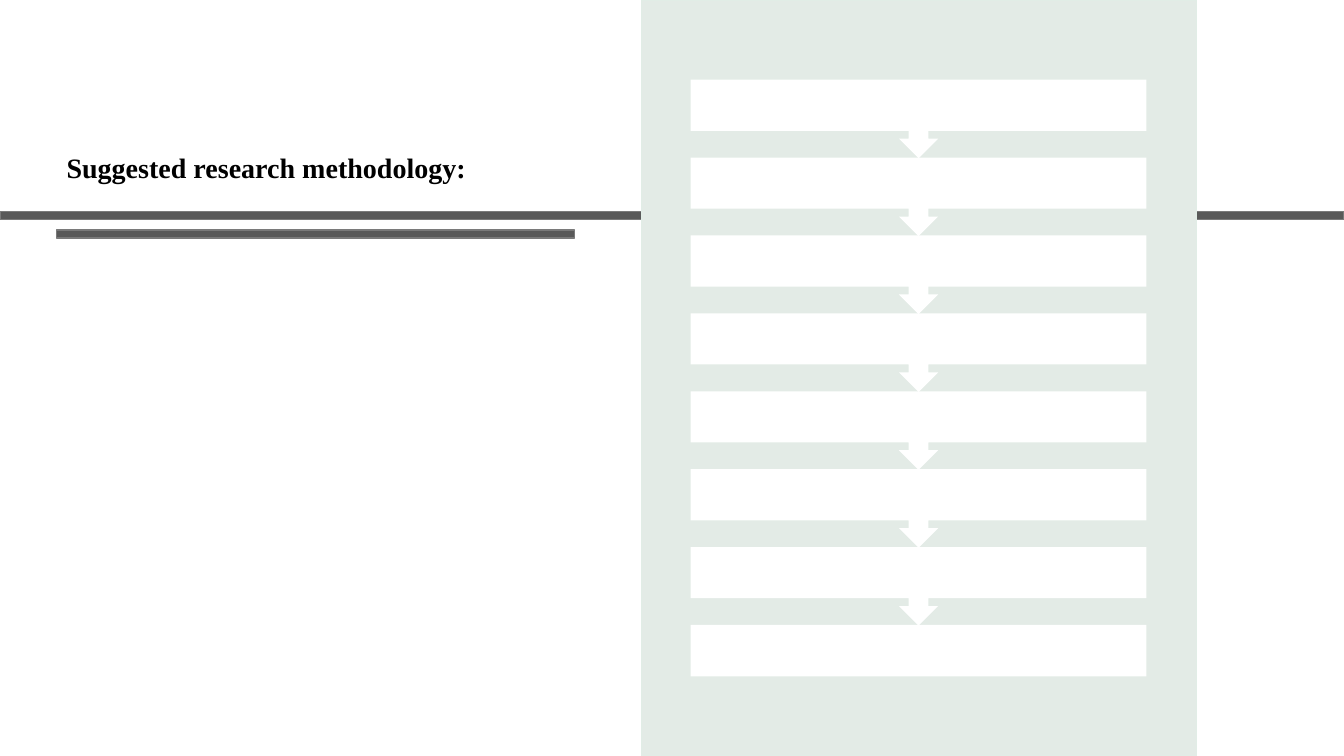
from pptx import Presentation
from pptx import util as u
from pptx.dml.color import RGBColor
from pptx.enum import shapes, text

WIDTH, HEIGHT = 13.33, 7.5
MARGIN = 0.56
RULE_HEIGHT = 0.08
STEP_LEFT, STEP_WIDTH = 6.85, 4.52
FIRST_TOP, LAST_TOP, STEPS = 0.79, 6.2, 8
PITCH = (LAST_TOP - FIRST_TOP) / (STEPS - 1)


def color(value):
    return RGBColor.from_string(value)


def assign(obj, values):
    for name, value in values.items():
        setattr(obj, name, value)


def place(sp, box):
    names = ("left", "top", "width", "height")
    assign(sp, dict(zip(names, map(u.Inches, box))))


def add_block(parent, kind, box, fill, line=None):
    sp = parent.add_shape(kind, *map(u.Inches, box))
    sp.shadow.inherit = False
    sp.fill.solid()
    sp.fill.fore_color.rgb = color(fill)
    if line:
        sp.line.color.rgb = color(line)
        sp.line.width = u.Pt(1)
    else:
        sp.line.fill.background()
    return sp


def add_rule(s, left, top, width):
    box = (left, top, width, RULE_HEIGHT)
    return add_block(s.shapes, shapes.MSO_SHAPE.RECTANGLE, box, "595959", "7A7A7A")


def format_title(sp, words):
    place(sp, (MARGIN, 1.18, 12.21, 1))
    tf = sp.text_frame
    assign(tf, {"word_wrap": True, "vertical_anchor": text.MSO_ANCHOR.MIDDLE})
    p = tf.paragraphs[0]
    assign(p, {"alignment": text.PP_ALIGN.LEFT, "line_spacing": 0.9})
    r = p.add_run()
    r.text = words
    assign(r.font, {"name": "Times New Roman", "size": u.Pt(20), "bold": True})
    r.font.color.rgb = color("000000")


def add_steps(s):
    group = s.shapes.add_group_shape().shapes
    last = (STEP_LEFT, LAST_TOP, STEP_WIDTH, 0.51)
    add_block(group, shapes.MSO_SHAPE.RECTANGLE, last, "FFFFFF")
    for row in reversed(range(STEPS - 1)):
        box = (STEP_LEFT, FIRST_TOP + row * PITCH, STEP_WIDTH, 0.78)
        sp = add_block(group, shapes.MSO_SHAPE.UP_ARROW_CALLOUT, box, "FFFFFF")
        sp.rotation = 180


def main():
    prs = Presentation()
    assign(prs, {"slide_width": u.Inches(WIDTH), "slide_height": u.Inches(HEIGHT)})
    s = prs.slides.add_slide(prs.slide_layouts[5])
    add_rule(s, 0, 2.1, WIDTH)
    panel = add_block(s.shapes, shapes.MSO_SHAPE.RECTANGLE,
                      (6.36, 0, 5.51, HEIGHT), "E3EBE6", "E1EDE6")
    title = s.shapes.title
    format_title(title, "Suggested research methodology:")
    panel.element.addnext(title.element)
    add_rule(s, MARGIN, 2.28, 5.14)
    add_steps(s)
    prs.save("out.pptx")


if __name__ == "__main__":
    main()
